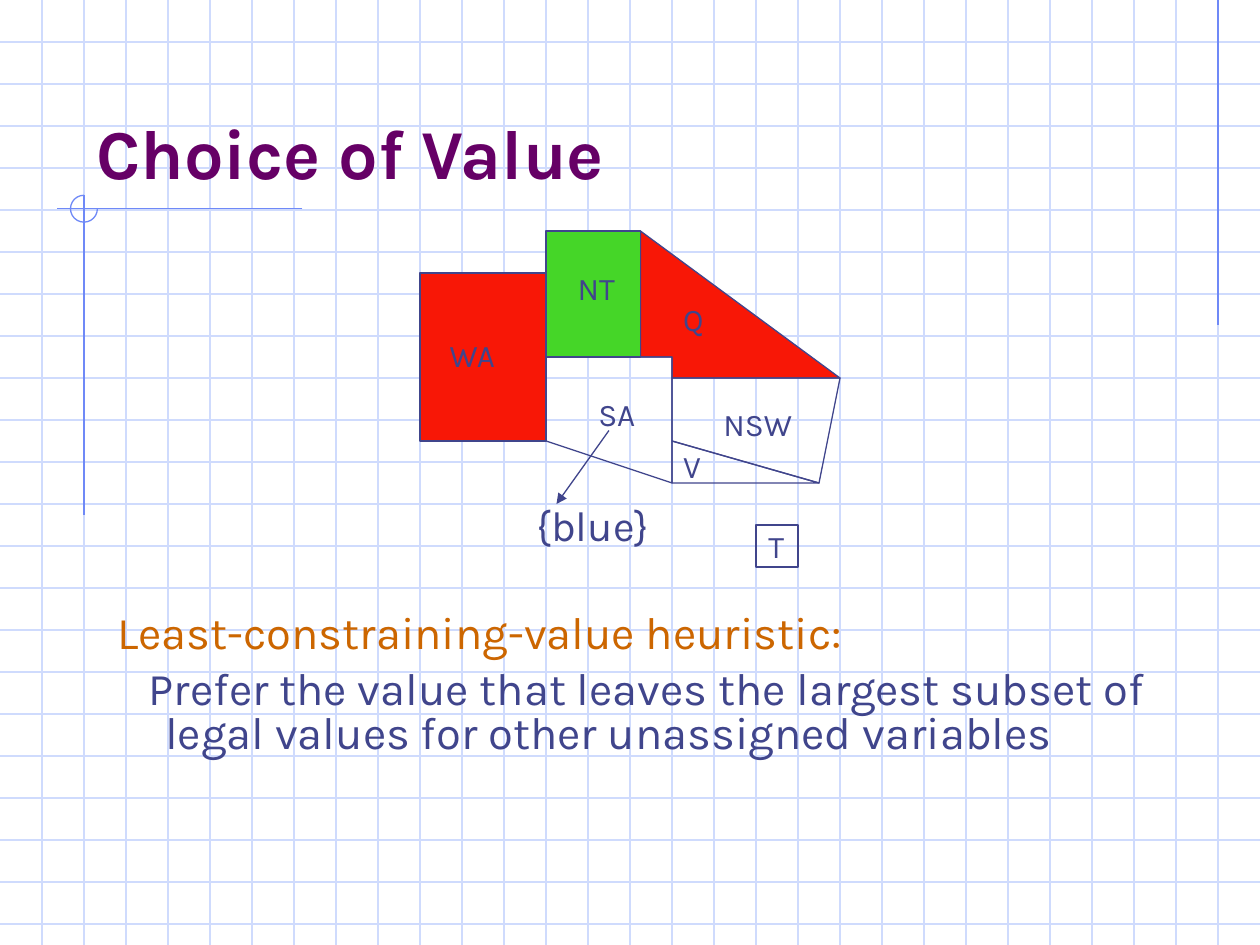
from pptx import Presentation
from pptx.dml.color import RGBColor
from pptx.enum.shapes import MSO_CONNECTOR, MSO_SHAPE
from pptx.enum.text import MSO_ANCHOR, MSO_AUTO_SIZE
from pptx.oxml.ns import qn
from pptx.util import Inches, Pt
from lxml.etree import SubElement as Sub

FONT = "Karla"
PALE = RGBColor(0xCF, 0xDB, 0xFD)
BLUE = RGBColor(0x6F, 0x89, 0xF7)
INK = RGBColor(0x40, 0x45, 0x8C)
PLUM = RGBColor(0x66, 0x00, 0x66)
RUST = RGBColor(0xCC, 0x66, 0x00)
RED = RGBColor(0xF8, 0x17, 0x06)
GREEN = RGBColor(0x45, 0xD6, 0x28)

# One grid cell is a third of an inch; all places are in cells
CELL = Inches(1) / 3
COLS, ROWS = 30, 22.5

TITLE = "Choice of Value"
BODY = [  # text, colour, first-line indent in inches
    ("Least-constraining-value heuristic:", RUST, -0.38),
    ("Prefer the value that leaves the largest subset of legal values "
     "for other unassigned variables", INK, -0.13),
]
TRIM = [  # corner marks: x1, y1, x2, y2
    (29, 0, 29, 7.75),
    (7.2, 4.97, 1.35, 4.97),
    (2, 4.65, 2, 12.27),
]
AREAS = [  # corners, fill
    ([(15.25, 5.5), (15.25, 8.5), (16, 8.5), (16, 9), (20, 9)], RED),
    ([(13, 8.5), (16, 8.5), (16, 11.5), (13, 10.5)], None),
    ([(16, 9), (16, 10.5), (19.5, 11.5), (20, 9)], None),
    ([(16, 10.5), (16, 11.5), (19.5, 11.5)], None),
]
BOXES = [  # x, y, width, height, fill
    (18, 12.5, 1, 1, None),
    (10, 6.5, 3, 4, RED),
    (13, 5.5, 2.25, 3, GREEN),
]
LABELS = [  # text, x, y, width, size
    ("SA", 13.95, 9.25, 1.55, 18),
    ("Q", 15.97, 7, 1.2, 18),
    ("NSW", 16.93, 9.5, 2.32, 18),
    ("V", 15.97, 10.5, 1.1, 18),
    ("T", 18, 12.4, 1.06, 18),
    ("WA", 10.41, 7.86, 1.82, 18),
    ("NT", 13.46, 6.25, 1.62, 18),
    ("{blue}", 12.48, 11.75, 3.46, 24),
]

prs = Presentation()
prs.slide_width, prs.slide_height = Inches(10), Inches(7.5)
slide = prs.slides.add_slide(prs.slide_layouts[6])
shapes = slide.shapes


def emu(*cells):
    return [round(c * CELL) for c in cells]


def rule(ends, color):
    line = shapes.add_connector(MSO_CONNECTOR.STRAIGHT, *emu(*ends))
    line.line.color.rgb = color
    line.line.width = Pt(0.75)
    Sub(line._element.spPr, qn("a:effectLst"))
    return line


def style(shape, fill, color=INK):
    shape.shadow.inherit = False
    if fill is None:
        shape.fill.background()
    else:
        shape.fill.solid()
        shape.fill.fore_color.rgb = fill
    shape.line.color.rgb = color
    shape.line.width = Pt(0.75)


def frame(x, y, w, h, wrap=True):
    text = shapes.add_textbox(*emu(x, y, w, h)).text_frame
    text.word_wrap = wrap
    if not wrap:
        text.auto_size = MSO_AUTO_SIZE.SHAPE_TO_FIT_TEXT
    return text


def write(para, words, size, color, bold=False):
    run = para.add_run()
    run.text = words
    font = run.font
    font.name, font.size, font.bold = FONT, Pt(size), bold
    font.color.rgb = color


# Graph paper
for row in range(1, int(ROWS) + 1):
    rule((0, row, COLS, row), PALE)
for col in range(1, COLS):
    rule((col, 0, col, ROWS), PALE)

# Corner marks and the three-quarter circle
for ends in TRIM:
    rule(ends, BLUE)
arc = shapes.add_shape(MSO_SHAPE.ARC, *emu(1.68, 4.65, 0.64, 0.64))
arc.adjustments[0], arc.adjustments[1] = 0, 162
style(arc, None, BLUE)

# Title
head = frame(2, 1, 25.5, 3.75)
head.vertical_anchor = MSO_ANCHOR.BOTTOM
write(head.paragraphs[0], TITLE, 40, PLUM, True)

# Heuristic
body = frame(2.5, 14.5, 25.5, 4.75)
for i, (words, color, indent) in enumerate(BODY):
    para = body.add_paragraph() if i else body.paragraphs[0]
    para.line_spacing = 0.8
    if i:
        para.space_before = Pt(7)
    props = para._p.get_or_add_pPr()
    props.set("marL", str(Inches(0.38)))
    props.set("indent", str(Inches(indent)))
    write(para, words, 25.9, color)

# Map regions
for points, fill in AREAS:
    start, *rest = [emu(*p) for p in points]
    path = shapes.build_freeform(*start)
    path.add_line_segments(rest, close=True)
    style(path.convert_to_shape(), fill)
for *place, fill in BOXES:
    style(shapes.add_shape(MSO_SHAPE.RECTANGLE, *emu(*place)), fill)

# Arrow to the value left for SA
arrow = rule((14.5, 10.25, 13.25, 12), INK)
Sub(arrow.line._get_or_add_ln(), qn("a:tailEnd"), type="triangle")

# Region names
for words, x, y, w, size in LABELS:
    write(frame(x, y, w, size / 15, False).paragraphs[0], words, size, INK)

prs.save("out.pptx")
